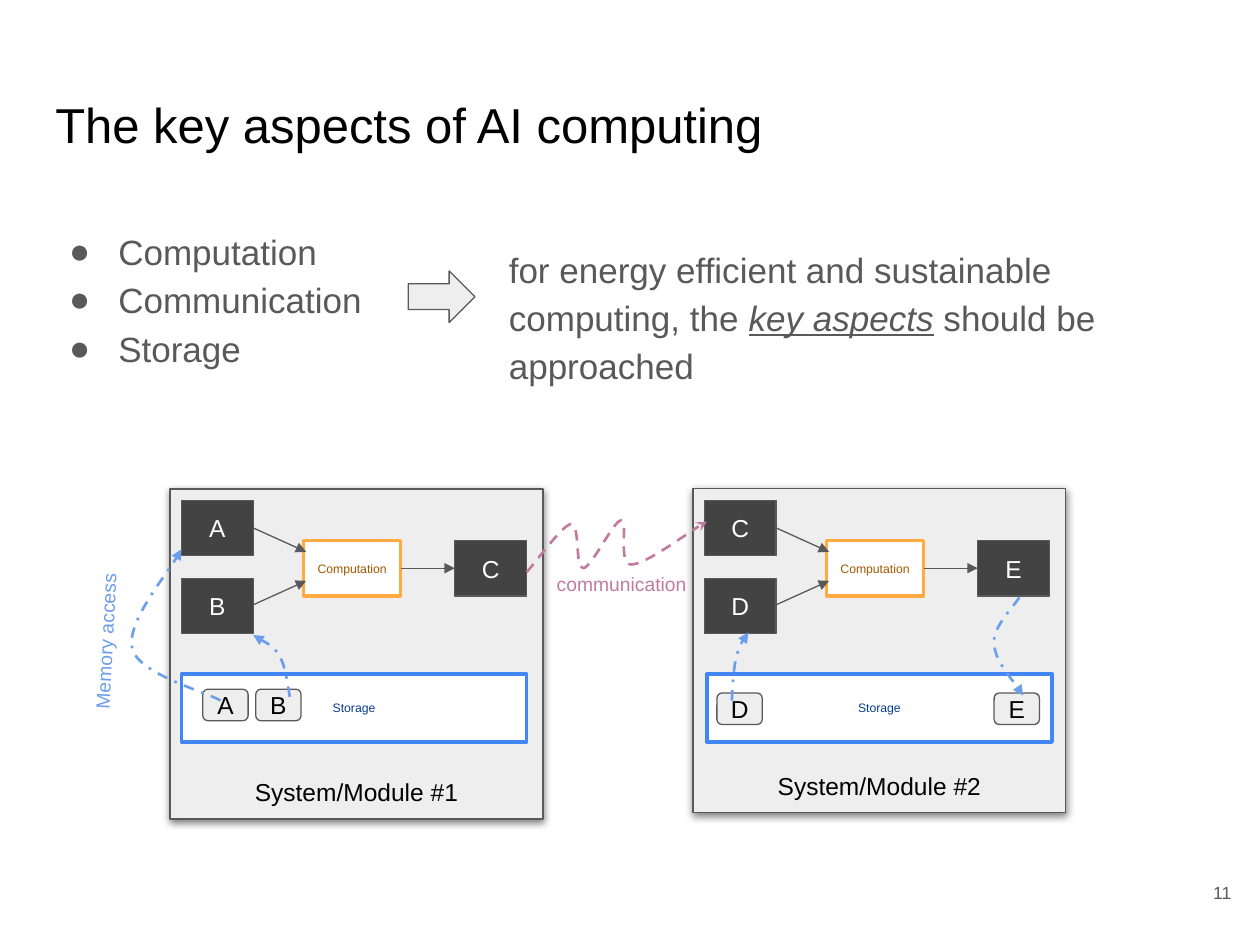
import pptx
import pptx.util
import pptx.oxml
import pptx.oxml.ns
from pptx.dml.color import RGBColor
from pptx.enum.dml import MSO_LINE
from pptx.enum.shapes import MSO_CONNECTOR, MSO_SHAPE
from pptx.enum.text import MSO_ANCHOR, PP_ALIGN

# The slide is a grid of 100 columns by 75 rows of square cells
COLUMNS, ROWS = 100, 75
CELL = pptx.util.Inches(0.1)

BLACK = RGBColor(0x00, 0x00, 0x00)
WHITE = RGBColor(0xFF, 0xFF, 0xFF)
GRAY = RGBColor(0x59, 0x59, 0x59)
DARK = RGBColor(0x43, 0x43, 0x43)
PALE = RGBColor(0xEE, 0xEE, 0xEE)
ORANGE = RGBColor(0xFF, 0xAB, 0x40)
BROWN = RGBColor(0xA0, 0x59, 0x00)
BLUE = RGBColor(0x42, 0x85, 0xF4)
NAVY = RGBColor(0x09, 0x3C, 0x92)
SKY = RGBColor(0x6D, 0x9E, 0xEB)
PINK = RGBColor(0xC2, 0x7B, 0xA0)


def cells(*counts):
    return [round(count * CELL) for count in counts]


def add_xml(parent, tag, **attributes):
    child = pptx.oxml.parse_xml(f"<a:{tag} {pptx.oxml.ns.nsdecls('a')}/>")
    for name, value in attributes.items():
        child.set(name, str(value))
    parent.append(child)
    return child


def format_text(shape, size, color, align=PP_ALIGN.LEFT, anchor=MSO_ANCHOR.TOP,
                inset=1, spacing=None):
    frame = shape.text_frame
    frame.word_wrap = True
    frame.vertical_anchor = anchor
    frame.margin_left, frame.margin_right = cells(1, 1)
    frame.margin_top, frame.margin_bottom = cells(inset, inset)
    for para in frame.paragraphs:
        para.alignment = align
        if spacing:
            para.line_spacing = spacing
        for span in para.runs:
            span.font.name = "Arial"
            span.font.size = pptx.util.Pt(size)
            span.font.color.rgb = color


def add_text(page, area, text, size, color, **layout):
    box = page.shapes.add_textbox(*cells(*area))
    box.text_frame.text = text
    format_text(box, size, color, **layout)
    return box


def add_box(page, area, text="", fill=PALE, border=GRAY, weight=0.75, size=14,
            color=BLACK, anchor=MSO_ANCHOR.MIDDLE, kind=MSO_SHAPE.RECTANGLE):
    box = page.shapes.add_shape(kind, *cells(*area))
    box.shadow.inherit = False
    box.fill.solid()
    box.fill.fore_color.rgb = fill
    box.line.color.rgb = border
    box.line.width = pptx.util.Pt(weight)
    box.text_frame.text = text
    format_text(box, size, color, PP_ALIGN.CENTER, anchor)
    return box


def add_drop_shadow(box):
    effects = box._element.spPr.find(pptx.oxml.ns.qn("a:effectLst"))
    shadow = add_xml(effects, "outerShdw", blurRad=pptx.util.Pt(4.5),
                     dist=pptx.util.Pt(1.5), dir=5400000, algn="bl", rotWithShape=0)
    add_xml(add_xml(shadow, "srgbClr", val=BLACK), "alpha", val=50000)


def style_arrow(shape, color, weight, head="triangle"):
    shape.line.color.rgb = color
    shape.line.width = pptx.util.Pt(weight)
    add_xml(shape.line._get_or_add_ln(), "tailEnd", type=head)


def add_arrow(page, start, end):
    arrow = page.shapes.add_connector(MSO_CONNECTOR.STRAIGHT, *cells(*start, *end))
    add_xml(arrow._element.spPr, "effectLst")
    style_arrow(arrow, GRAY, 0.75)


def add_curve(page, knots, color, dash, head="triangle"):
    """Draw chained cubic curves: a start, then two controls and an end each."""
    start, *others = [cells(*knot) for knot in knots]
    builder = page.shapes.build_freeform(*start)
    builder.add_line_segments(others, close=False)
    curve = builder.convert_to_shape()

    # Join every three straight segments into one cubic curve
    outline = next(curve._element.iter(pptx.oxml.ns.qn("a:path")))
    segments = outline.findall(pptx.oxml.ns.qn("a:lnTo"))
    for first in range(0, len(segments), 3):
        cubic = add_xml(outline, "cubicBezTo")
        for segment in segments[first:first + 3]:
            cubic.append(segment[0])
            outline.remove(segment)

    curve.shadow.inherit = False
    curve.fill.background()
    curve.line.dash_style = dash
    style_arrow(curve, color, 1.5, head)


def add_bullets(page, area, items):
    box = add_text(page, area, "\n".join(items), 20, GRAY, spacing=1.15)
    for para in box.text_frame.paragraphs:
        properties = para._p.get_or_add_pPr()
        properties.set("marL", str(cells(5)[0]))
        properties.set("indent", str(cells(-3.9)[0]))
        add_xml(add_xml(properties, "buClr"), "srgbClr", val=GRAY)
        add_xml(properties, "buFont", typeface="Arial")
        add_xml(properties, "buChar", char="●")


def add_conclusion(page, area):
    box = page.shapes.add_textbox(*cells(*area))
    para = box.text_frame.paragraphs[0]
    for text in ("for energy efficient and sustainable computing, the ",
                 "key aspects", " should be approached"):
        para.add_run().text = text
    format_text(box, 20, GRAY, spacing=1.15)
    para.space_after = pptx.util.Pt(12)
    para.runs[1].font.italic = True
    para.runs[1].font.underline = True


def add_module(page, left, height, title, inputs, output, storage_left, tokens):
    top = 38.8
    frame = add_box(page, (left, top, 29.6, height), title, anchor=MSO_ANCHOR.BOTTOM)
    add_drop_shadow(frame)

    # Two inputs, one computation, one output
    values = [(0.9, 0.9, inputs[0]), (0.9, 7.1, inputs[1]), (22.6, 4.1, output)]
    for x, y, name in values:
        add_box(page, (left + x, top + y, 5.7, 4.4), name, fill=DARK, color=WHITE)
    add_box(page, (left + 10.6, top + 4.1, 7.7, 4.4), "Computation", WHITE,
            ORANGE, 2, 7, BROWN)
    for x1, y1, x2, y2 in ((6.6, 3.1, 10.8, 5), (6.6, 9.2, 10.8, 7.3),
                           (18.3, 6.3, 22.6, 6.3)):
        add_arrow(page, (left + x1, top + y1), (left + x2, top + y2))

    # Storage with the values it holds
    add_box(page, (storage_left, 53.5, 27.4, 5.4), "Storage", WHITE, BLUE, 2, 7, NAVY)
    for x, y, name in tokens:
        add_box(page, (x, y, 3.6, 2.5), name, kind=MSO_SHAPE.ROUNDED_RECTANGLE)


def main():
    deck = pptx.Presentation()
    deck.slide_width, deck.slide_height = cells(COLUMNS, ROWS)
    page = deck.slides.add_slide(deck.slide_layouts[6])

    # Heading and message
    add_text(page, (3.4, 6.5, 93.2, 8.3), "The key aspects of AI computing", 28, BLACK)
    add_bullets(page, (3.4, 16.8, 33.1, 23.4),
                ["Computation", "Communication", "Storage"])
    add_box(page, (32.4, 21.5, 5.3, 4.1), kind=MSO_SHAPE.RIGHT_ARROW)
    add_conclusion(page, (39.4, 18.2, 56.4, 23.4))

    # The two systems
    add_module(page, 13.5, 26.2, "System/Module #1", "AB", "C", 14.4,
               [(16.1, 54.7, "A"), (20.3, 54.7, "B")])
    add_module(page, 55, 25.7, "System/Module #2", "CD", "E", 56.1,
               [(56.9, 55, "D"), (78.9, 55, "E")])

    # Communication between the systems
    add_curve(page, [(41.8, 45.4), (42.4, 44.8), (44.6, 41.7), (45.3, 41.6),
                     (46.1, 41.6), (45.6, 45.1), (46.3, 45.1),
                     (47, 45), (48.7, 41.3), (49.3, 41.3),
                     (49.9, 41.2), (49, 44.8), (50.1, 44.8),
                     (51.2, 44.8), (55.1, 41.9), (56.1, 41.4)],
              PINK, MSO_LINE.DASH, "stealth")
    add_text(page, (43.2, 44.9, 12.4, 2.9), "communication", 11, PINK,
             inset=0.5).text_frame.word_wrap = False

    # Memory accesses
    accesses = [
        [(17.5, 55.6), (16.3, 54.9), (11, 53.5), (10.5, 51.5),
         (10, 49.5), (13.8, 44.9), (14.4, 43.6)],
        [(23, 55.3), (22.9, 54.8), (22.7, 52.9), (22.2, 52.1),
         (21.7, 51.2), (20.5, 50.7), (20.1, 50.4)],
        [(58.1, 55.6), (58.1, 55), (58.2, 52.9), (58.5, 52),
         (58.7, 51.1), (59.2, 50.5), (59.4, 50.2)],
        [(80.9, 47.4), (80.6, 48), (78.8, 49.7), (78.9, 51),
         (78.9, 52.3), (80.8, 54.5), (81.2, 55.2)],
    ]
    for knots in accesses:
        add_curve(page, knots, SKY, MSO_LINE.DASH_DOT)
    label = add_text(page, (2, 49.4, 12.8, 2.9), "Memory access", 11, SKY, inset=0.5)
    label.text_frame.word_wrap = False
    label.rotation = 272.9

    # Page number
    add_text(page, (92.7, 68, 6, 5.7), "11", 10, GRAY, align=PP_ALIGN.RIGHT,
             anchor=MSO_ANCHOR.MIDDLE)
    deck.save("out.pptx")


if __name__ == "__main__":
    main()
